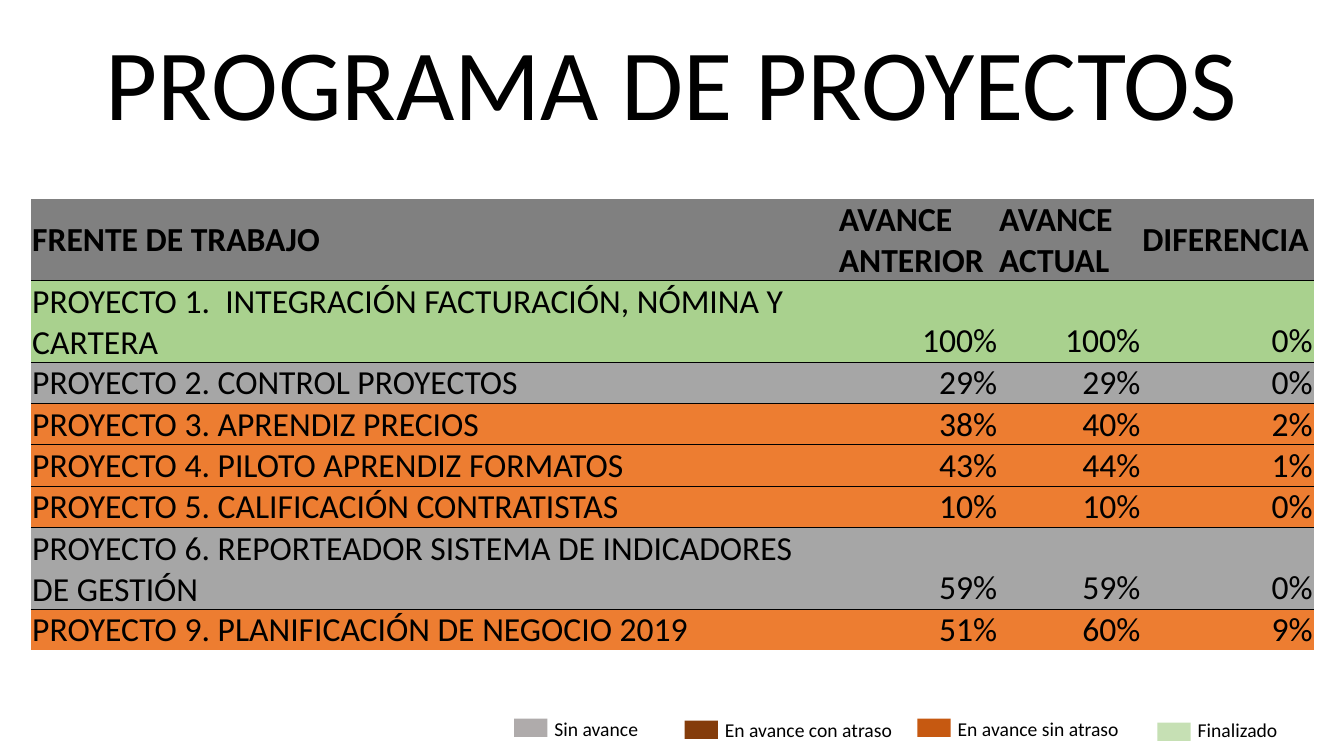
import pptx
import pptx.dml.color
import pptx.enum.shapes
import pptx.enum.text
import pptx.oxml
import pptx.oxml.ns
import pptx.util

ALIGN = pptx.enum.text.PP_ALIGN
ANCHOR = pptx.enum.text.MSO_ANCHOR
PX = 9144
FONT, INK = "Calibri", "000000"

TITLE = "PROGRAMA DE PROYECTOS"
TITLE_BOX = (61, 15, 1210, 131)

HEADER = ("FRENTE DE TRABAJO", "AVANCE ANTERIOR", "AVANCE ACTUAL", "DIFERENCIA")
PROJECTS = [
    ("PROYECTO 1.  INTEGRACIÓN FACTURACIÓN, NÓMINA Y CARTERA", 100, 100, "finished"),
    ("PROYECTO 2. CONTROL PROYECTOS", 29, 29, "stalled"),
    ("PROYECTO 3. APRENDIZ PRECIOS", 38, 40, "moving"),
    ("PROYECTO 4. PILOTO APRENDIZ FORMATOS", 43, 44, "moving"),
    ("PROYECTO 5. CALIFICACIÓN CONTRATISTAS", 10, 10, "moving"),
    ("PROYECTO 6. REPORTEADOR SISTEMA DE INDICADORES DE GESTIÓN", 59, 59, "stalled"),
    ("PROYECTO 9. PLANIFICACIÓN DE NEGOCIO 2019", 51, 60, "moving"),
]
STATUS_FILLS = {"header": "808080", "finished": "A9D18E", "stalled": "A6A6A6", "moving": "ED7D31"}
TABLE_LEFT, TABLE_TOP = 31, 197
COLUMN_WIDTHS = (800, 159, 142, 171)
LINE_HEIGHT, TALL_HEIGHT = 41, 81
LONG_NAME = 45

LEGEND = [
    ("Sin avance", "AFABAB", 510, 713, 706, 193),
    ("En avance con atraso", "843C0B", 679, 715, 707, 193),
    ("En avance sin atraso", "C65911", 910, 713, 706, 193),
    ("Finalizado", "C6E0B4", 1148, 717, 707, 102),
]
SWATCH_WIDTH, SWATCH_HEIGHT, LABEL_SHIFT, LABEL_HEIGHT = 33, 18, 30, 34


def px(*lengths):
    """Turn pixel lengths into EMU."""
    return [pptx.util.Emu(length * PX) for length in lengths]


def color(value):
    """Turn a hex string into a colour."""
    return pptx.dml.color.RGBColor.from_string(value)


def write(frame, text, size, align=ALIGN.LEFT, bold=False):
    """Put one formatted line of text in a frame."""
    para = frame.paragraphs[0]
    para.alignment = align
    span = para.add_run()
    span.text = text
    for name, value in {"name": FONT, "size": pptx.util.Pt(size), "bold": bold}.items():
        setattr(span.font, name, value)
    span.font.color.rgb = color(INK)


def add_label(slide, place, text, size, align=ALIGN.LEFT):
    """Add a wrapping text box."""
    box = slide.shapes.add_textbox(*px(*place))
    box.text_frame.word_wrap = True
    write(box.text_frame, text, size, align)


def set_borders(cell, ruled_sides):
    """Rule the given sides of a cell and clear the others."""
    properties = cell._tc.get_or_add_tcPr()
    for position, side in enumerate("LRTB"):
        paint = "<a:noFill/>"
        if side in ruled_sides:
            paint = f'<a:solidFill><a:srgbClr val="{INK}"/></a:solidFill>'
        line = f'<a:ln{side} {pptx.oxml.ns.nsdecls("a")} w="6350">{paint}</a:ln{side}>'
        properties.insert(position, pptx.oxml.parse_xml(line))


def add_progress_table(slide):
    """Add the table of projects with their progress."""
    rows = [(HEADER, "header", TALL_HEIGHT)]
    for name, before, now, status in PROJECTS:
        height = TALL_HEIGHT if len(name) > LONG_NAME else LINE_HEIGHT
        rows.append(((name, f"{before}%", f"{now}%", f"{now - before}%"), status, height))
    place = (TABLE_LEFT, TABLE_TOP, sum(COLUMN_WIDTHS), sum(row[2] for row in rows))
    table = slide.shapes.add_table(len(rows), len(HEADER), *px(*place)).table
    table.first_row = table.horz_banding = False
    for column, width in zip(table.columns, px(*COLUMN_WIDTHS)):
        column.width = width
    margin, none = px(1, 0)
    for row_index, (texts, status, height) in enumerate(rows):
        table.rows[row_index].height = px(height)[0]
        is_header = status == "header"
        sides = ("" if is_header else "T") + ("B" if row_index < len(rows) - 1 else "")
        layout = {
            "margin_left": margin, "margin_right": margin,
            "margin_top": margin, "margin_bottom": none,
            "vertical_anchor": ANCHOR.MIDDLE if is_header else ANCHOR.BOTTOM,
        }
        for column_index, text in enumerate(texts):
            cell = table.cell(row_index, column_index)
            for name, value in layout.items():
                setattr(cell, name, value)
            cell.fill.solid()
            cell.fill.fore_color.rgb = color(STATUS_FILLS[status])
            set_borders(cell, sides)
            align = ALIGN.LEFT if is_header or column_index == 0 else ALIGN.RIGHT
            write(cell.text_frame, text, 24, align, is_header)


def add_legend(slide):
    """Add the colour swatches and their labels."""
    for text, fill, left, swatch_top, label_top, label_width in LEGEND:
        swatch = slide.shapes.add_shape(
            pptx.enum.shapes.MSO_SHAPE.RECTANGLE,
            *px(left, swatch_top, SWATCH_WIDTH, SWATCH_HEIGHT))
        swatch.shadow.inherit = False
        swatch.fill.solid()
        swatch.fill.fore_color.rgb = color(fill)
        swatch.line.fill.background()
        add_label(slide, (left + LABEL_SHIFT, label_top, label_width, LABEL_HEIGHT), text, 14)


def main():
    """Build and save the slide."""
    deck = pptx.Presentation()
    deck.slide_width, deck.slide_height = px(1333, 750)
    slide = deck.slides.add_slide(deck.slide_layouts[6])
    add_label(slide, TITLE_BOX, TITLE, 72, ALIGN.CENTER)
    add_progress_table(slide)
    add_legend(slide)
    deck.save("out.pptx")


if __name__ == "__main__":
    main()
